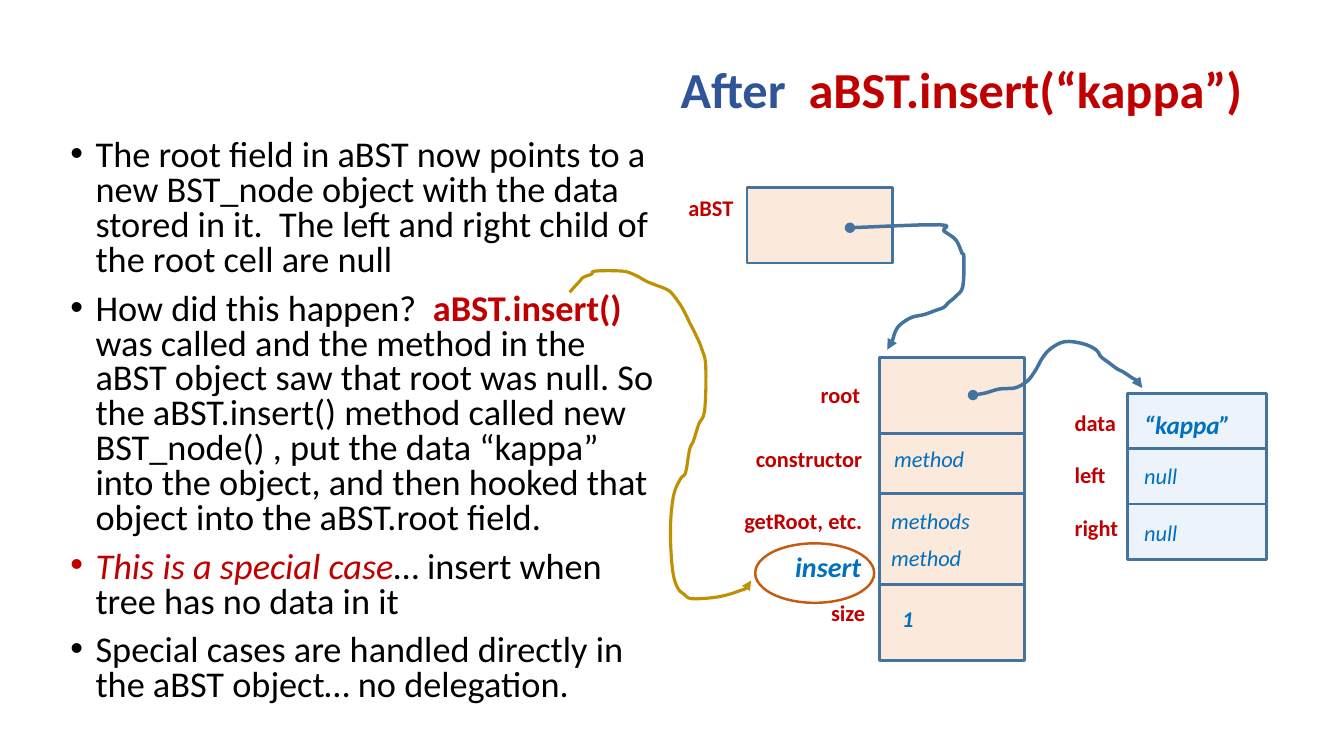
from lxml import etree
from pptx import Presentation
from pptx.dml.color import RGBColor
from pptx.enum import shapes, text
from pptx.oxml import ns
from pptx.util import Inches, Pt

RED, BLUE, NAVY, BLACK = "C00000", "0070C0", "2F5597", "000000"
STEEL, GOLD, RUST = "43739E", "BF9000", "C55A11"
PEACH, SKY = "F4B183", "BDD7EE"


def color(value):
    return RGBColor.from_string(value)


def add_child(parent, tag, **attributes):
    return etree.SubElement(parent, ns.qn(tag), attributes)


def style_span(span, size, fill, bold=False, italic=False):
    font = span.font
    font.name, font.size = "Calibri", Pt(size)
    font.bold, font.italic = bold, italic
    font.color.rgb = color(fill)


def add_spans(para, parts, size):
    for words, *look in parts:
        span = para.add_run()
        span.text = words
        style_span(span, size, *look)


def add_text_box(page, left, top, width, height):
    frame = page.shapes.add_textbox(
        Inches(left), Inches(top), Inches(width), Inches(height)).text_frame
    frame.word_wrap = True
    return frame


def add_label(page, words, left, top, width, fill=RED, size=16,
              bold=True, italic=False, right=False):
    frame = add_text_box(page, left, top, width, 0.4)
    frame.text = words
    para = frame.paragraphs[0]
    para.alignment = text.PP_ALIGN.RIGHT if right else text.PP_ALIGN.LEFT
    style_span(para.runs[0], size, fill, bold, italic)


def add_value(page, words, left, top, size=16, bold=False):
    add_label(page, words, left, top, 1.17, BLUE, size, bold, True)


def add_outline(page, kind, left, top, width, height, line, weight, fill=None):
    shape = page.shapes.add_shape(
        kind, Inches(left), Inches(top), Inches(width), Inches(height))
    shape.shadow.inherit = False
    shape.line.color.rgb = color(line)
    shape.line.width = Pt(weight)
    if fill is None:
        shape.fill.background()
        return
    shape.fill.solid()
    shape.fill.fore_color.rgb = color(fill)
    tint = shape.fill._xPr.find(".//" + ns.qn("a:srgbClr"))
    add_child(tint, "a:alpha", val="28000")


def add_cells(page, left, top, width, heights, fill):
    for height in heights:
        add_outline(page, shapes.MSO_SHAPE.RECTANGLE, left, top, width, height,
                    STEEL, 2, fill)
        top += height


def smooth(points, steps=4):
    padded = [points[0], *points, points[-1]]
    curve = [points[0]]
    for a, b, c, d in zip(padded, padded[1:], padded[2:], padded[3:]):
        for step in range(1, steps + 1):
            t = step / steps
            curve.append(tuple(
                (2 * q + (r - p) * t + (2 * p - 5 * q + 4 * r - s) * t ** 2
                 + (3 * q - p - 3 * r + s) * t ** 3) / 2
                for p, q, r, s in zip(a, b, c, d)))
    return curve


def add_curved_arrow(page, box, points, line, weight, head="none"):
    left, top = box
    start, *others = [(Inches(left + x), Inches(top + y))
                      for x, y in smooth(points)]
    builder = page.shapes.build_freeform(*start)
    builder.add_line_segments(others, close=False)
    arrow = builder.convert_to_shape()
    arrow.shadow.inherit = False
    arrow.fill.background()
    arrow.line.color.rgb = color(line)
    arrow.line.width = Pt(weight)
    outline = arrow.line._get_or_add_ln()
    add_child(outline, "a:headEnd", type=head)
    add_child(outline, "a:tailEnd", type="triangle")


def draw_title(page, box):
    frame = add_text_box(page, *box)
    frame.vertical_anchor = text.MSO_ANCHOR.MIDDLE
    para = frame.paragraphs[0]
    para.alignment = text.PP_ALIGN.RIGHT
    para.line_spacing = 0.9
    add_spans(para, [("After  ", NAVY, True),
                     ("aBST.insert(“kappa”)", RED, True)], 36)


def draw_explanation(page, box):
    bullets = [
        [("The root field in aBST now points to a new BST_node object with "
          "the data stored in it.  The left and right child of the root cell "
          "are null", BLACK)],
        [("How did this happen?  ", BLACK), ("aBST.insert() ", RED, True),
         ("was called and the method in the aBST object saw that root was "
          "null. So the aBST.insert() method called new BST_node() , put the "
          "data “kappa” into the object, and then hooked that object into "
          "the aBST.root field.", BLACK)],
        [("This is a special case", RED, False, True),
         ("… insert when tree has no data in it", BLACK)],
        [("Special cases are handled directly in the aBST object… "
          "no delegation.", BLACK)],
    ]
    frame = add_text_box(page, *box)
    for index, parts in enumerate(bullets):
        para = frame.add_paragraph() if index else frame.paragraphs[0]
        para.line_spacing = 0.8
        para.space_before = Pt(10)
        add_spans(para, parts, 25.9)
        layout = para._p.get_or_add_pPr()
        layout.set("marL", str(Inches(0.25)))
        layout.set("indent", str(-Inches(0.25)))
        add_child(layout, "a:buFont", typeface="Arial")
        add_child(layout, "a:buChar", char="•")


def draw_reference(page, box):
    left, top = box
    add_label(page, "aBST", left + 0.73, top + 0.88, 0.7)
    add_cells(page, left + 1.41, top + 0.86, 1.44, [0.75], PEACH)
    add_curved_arrow(page, box, [
        (2.43, 1.26), (3.32, 1.23), (3.36, 1.29), (3.48, 1.38), (3.54, 1.51),
        (3.56, 1.55), (3.55, 1.84), (3.48, 1.94), (3.41, 2), (3.36, 2.05),
        (3.28, 2.08), (3.17, 2.12), (3.04, 2.15), (2.93, 2.22), (2.88, 2.29),
        (2.85, 2.38), (2.8, 2.47)], STEEL, 2.5, "oval")


def draw_tree_object(page, box):
    left, top = box
    add_cells(page, left + 1.72, top + 0.55, 1.44, [0.75, 0.6, 0.9, 0.75], PEACH)
    for words, y, edge in [("root", 0.73, 1.63), ("constructor", 1.37, 1.65),
                           ("getRoot, etc.", 1.98, 1.65), ("size", 2.89, 1.68)]:
        add_label(page, words, left + edge - 1.6, top + y, 1.6, right=True)
    for words, x, y in [("method", 1.77, 1.37), ("methods", 1.74, 1.98),
                        ("method", 1.74, 2.35)]:
        add_value(page, words, left + x, top + y)
    add_value(page, "1", left + 1.85, top + 2.95, bold=True)


def draw_node(page, box):
    left, top = box
    row = 0.55
    add_cells(page, left + 1.18, top + 0.9, 1.38, [row] * 3, SKY)
    for index, words in enumerate(["data", "left", "right"]):
        add_label(page, words, left + 0.56, top + 1.01 + 0.52 * index, 1.24)
    add_value(page, "“kappa”", left + 1.25, top + 1.01, 18, True)
    for y in (1.54, 2.1):
        add_value(page, "null", left + 1.25, top + y)
    add_curved_arrow(page, box, [
        (-0.35, 0.92), (-0.23, 0.9), (-0.09, 0.86), (0.06, 0.85), (0.15, 0.81),
        (0.21, 0.76), (0.26, 0.69), (0.29, 0.64), (0.34, 0.55), (0.42, 0.46),
        (0.56, 0.39), (0.74, 0.41), (0.87, 0.47), (0.92, 0.54), (1, 0.6),
        (1.08, 0.66), (1.14, 0.69), (1.23, 0.75), (1.3, 0.79), (1.33, 0.85)],
        STEEL, 2.5, "oval")


def draw_insert_call(page, box):
    left, top = box
    add_label(page, "insert", left + 2.04, top + 3.4, 1.6, BLUE, 20,
              italic=True, right=True)
    add_curved_arrow(page, box, [
        (0.65, 0.9), (0.75, 0.79), (0.79, 0.75), (0.87, 0.72), (0.9, 0.69),
        (1.17, 0.69), (1.3, 0.73), (1.43, 0.8), (1.61, 0.87), (1.68, 0.93),
        (1.77, 1.06), (1.84, 1.2), (1.91, 1.34), (1.96, 1.46), (2, 1.63),
        (1.99, 2.07), (1.93, 2.21), (1.88, 2.37), (1.84, 2.46), (1.8, 2.69),
        (1.75, 2.75), (1.68, 2.92), (1.65, 3.25), (1.67, 3.65), (1.72, 3.83),
        (1.79, 3.9), (1.86, 3.94), (2.07, 3.93), (2.22, 3.9), (2.34, 3.86),
        (2.41, 3.83), (2.45, 3.76)], GOLD, 2.25)
    add_outline(page, shapes.MSO_SHAPE.OVAL, left + 2.49, top + 3.39, 1.18, 0.59,
                RUST, 1.75)


deck = Presentation()
deck.slide_width, deck.slide_height = Inches(13.33), Inches(7.5)
page = deck.slides.add_slide(deck.slide_layouts[6])
draw_title(page, (0.92, 0.4, 11.5, 1.02))
draw_explanation(page, (0.6, 1.34, 6.06, 5.75))
draw_reference(page, (6, 1))
draw_tree_object(page, (7, 3))
draw_node(page, (10, 3))
draw_insert_call(page, (5, 2))
deck.save("out.pptx")
